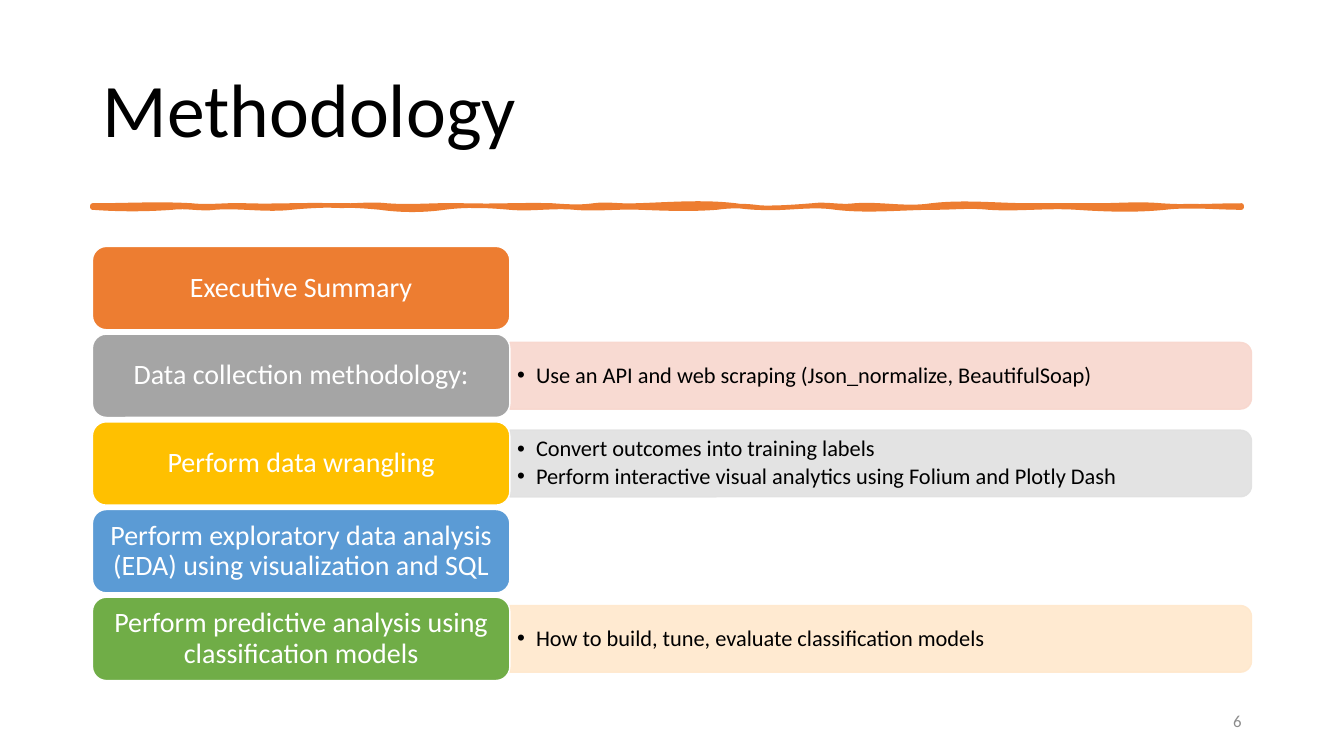
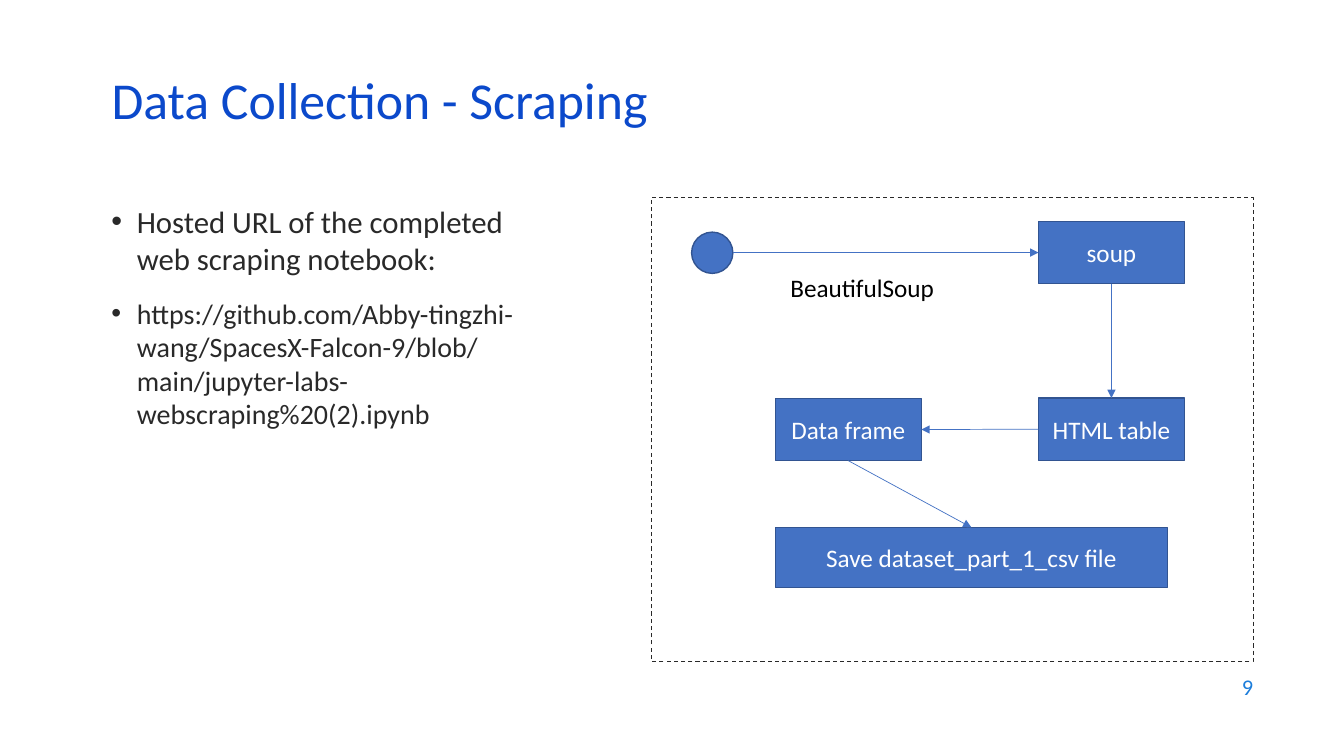
import lxml.etree
import pptx
import pptx.dml.color
import pptx.enum.dml
import pptx.enum.shapes
import pptx.enum.text
import pptx.oxml.ns
import pptx.util

Cm = pptx.util.Cm
Pt = pptx.util.Pt
qn = pptx.oxml.ns.qn
SHAPE = pptx.enum.shapes.MSO_SHAPE
ALIGN = pptx.enum.text.PP_ALIGN
ANCHOR = pptx.enum.text.MSO_ANCHOR

FONT = "Calibri"
COLORS = {
    "black": "000000", "white": "FFFFFF", "ink": "292929", "gray": "8C8C8C",
    "orange": "ED7D31", "silver": "A5A5A5", "gold": "FFC000", "sky": "5B9BD5", "green": "70AD47",
    "pale_red": "F8D7CE", "pale_gray": "E1E1E1", "pale_orange": "FFE8CC",
    "title_blue": "0B49CB", "number_blue": "1C7DDB", "node": "4472C4", "node_edge": "325491",
}

STEPS = [
    ("Executive Summary", "orange", None, []),
    ("Data collection methodology:", "silver", "pale_red",
     ["Use an API and web scraping (Json_normalize, BeautifulSoap)"]),
    ("Perform data wrangling", "gold", "pale_gray",
     ["Convert outcomes into training labels",
      "Perform interactive visual analytics using Folium and Plotly Dash"]),
    ("Perform exploratory data analysis (EDA) using visualization and SQL", "sky", None, []),
    ("Perform predictive analysis using classification models", "green", "pale_orange",
     ["How to build, tune, evaluate classification models"]),
]
STEP_LEFT, STEP_TOP, STEP_PITCH = 2.33, 6.21, 2.21
STEP_WIDTH, STEP_HEIGHT = 10.52, 2.1
DETAIL_WIDTH, DETAIL_HEIGHT = 18.69, 1.68

RULE_LEFT, RULE_RIGHT, RULE_TOP, RULE_BOTTOM = 2.33, 31.29, 5.18, 5.23
RULE_UNIT = 0.025
TOP_WAVES = [
    (4.83, 0, -2), (6.2, 2, -1), (8.41, 1, -1), (9.75, 1, -2), (11.68, 2, -1), (13.92, 1, -1),
    (14.96, 1, 2), (16.03, -2, 1), (18.54, -1, -4), (20.47, 4, 2), (21.54, -2, 2),
    (23.47, -2, 4), (25.98, -4, 0), (27.61, 0, 0), (29.26, 0, -2), (RULE_RIGHT, 2, 0),
]
BOTTOM_WAVES = [
    (29.36, 0, -3), (27.13, 3, 2), (24.92, -2, 2), (23.57, -2, 0), (21.06, 0, 4), (19.13, -4, 2),
    (18.06, -2, -2), (16.13, 2, 1), (14.48, -1, 2), (12.85, -2, 2), (11.2, -2, -3),
    (9.58, 3, 3), (7.34, -3, -3), (5.41, 3, -2), (4.34, 2, -2), (RULE_LEFT, 2, 2),
]

NOTEBOOK_LINES = [
    ("Hosted URL of the completed web scraping notebook:", 22),
    ("https://github.com/Abby-tingzhi-wang/SpacesX-Falcon-9/blob/main/"
     "jupyter-labs-webscraping%20(2).ipynb", 20),
]
NODES = {
    "soup": (26.17, 5.58, 3.68, 1.57),
    "HTML table": (26.17, 10.03, 3.68, 1.57),
    "Data frame": (19.54, 10.04, 3.68, 1.57),
    "Save dataset_part_1_csv file": (19.54, 13.29, 9.88, 1.52),
}
ARROWS = [
    ("soup", 2, "HTML table", 0),
    ("HTML table", 1, "Data frame", 3),
    ("Data frame", 2, "Save dataset_part_1_csv file", 0),
]


def rgb(color):
    return pptx.dml.color.RGBColor.from_string(COLORS[color])


def write(box, lines, size, color, align=None, anchor=ANCHOR.MIDDLE, spacing=None, insets=None):
    frame = box.text_frame
    frame.word_wrap = True
    frame.vertical_anchor = anchor
    if insets:
        frame.margin_left = frame.margin_right = Cm(insets[0])
        frame.margin_top = frame.margin_bottom = Cm(insets[1])
    frame.text = "\n".join(lines)
    for para in frame.paragraphs:
        para.alignment = align
        para.line_spacing = spacing
        for span in para.runs:
            span.font.name = FONT
            span.font.size = Pt(size)
            span.font.color.rgb = rgb(color)
    return frame.paragraphs


def add_text(page, place, *args, **options):
    box = page.shapes.add_textbox(*map(Cm, place))
    return write(box, *args, **options)


def add_bullet(para, indent):
    properties = para._p.get_or_add_pPr()
    properties.set("marL", str(Cm(indent)))
    properties.set("indent", str(-Cm(indent)))
    lxml.etree.SubElement(properties, qn("a:buFont")).set("typeface", "Arial")
    lxml.etree.SubElement(properties, qn("a:buChar")).set("char", "•")


def paint(shape, fill, line, width):
    shape.shadow.inherit = False
    if fill:
        shape.fill.solid()
        shape.fill.fore_color.rgb = rgb(fill)
    else:
        shape.fill.background()
    shape.line.color.rgb = rgb(line)
    shape.line.width = Pt(width)
    return shape


def add_box(page, kind, place, fill, line, width=1):
    return paint(page.shapes.add_shape(kind, *map(Cm, place)), fill, line, width)


def add_arrow(page, start, end):
    arrow = page.shapes.add_connector(
        pptx.enum.shapes.MSO_CONNECTOR.STRAIGHT, *map(Cm, start + end))
    arrow.line.color.rgb = rgb("node")
    arrow.line.width = Pt(0.5)
    properties = arrow.element.spPr
    lxml.etree.SubElement(properties.find(qn("a:ln")), qn("a:tailEnd")).set("type", "triangle")
    lxml.etree.SubElement(properties, qn("a:effectLst"))
    return arrow


def add_page(deck, title, place, size, color, spacing):
    page = deck.slides.add_slide(deck.slide_layouts[5])
    box = page.shapes.title
    box.left, box.top, box.width, box.height = map(Cm, place)
    write(box, [title], size, color, ALIGN.LEFT, spacing=spacing)
    return page


def add_number(page, number, place, size, color):
    add_text(page, place, [number], size, color, ALIGN.RIGHT)


def bend(segment, start, first, second):
    end = segment[0]
    left, right = int(start.get("x")), int(end.get("x"))
    segment.tag = qn("a:cubicBezTo")
    for index, rise in enumerate((first, second)):
        control = lxml.etree.Element(qn("a:pt"))
        control.set("x", str(left + (right - left) * (index + 1) // 3))
        control.set("y", str(int(end.get("y")) + Cm(RULE_UNIT * rise)))
        segment.insert(index, control)
    return end


def add_rule(page):
    waves = TOP_WAVES + [(RULE_RIGHT, 0, 0)] + BOTTOM_WAVES
    heights = [RULE_TOP] * len(TOP_WAVES) + [RULE_BOTTOM] * (len(BOTTOM_WAVES) + 1)
    knots = [(Cm(wave[0]), Cm(height)) for wave, height in zip(waves, heights)]
    outline = page.shapes.build_freeform(Cm(RULE_LEFT), Cm(RULE_TOP))
    outline.add_line_segments(knots, close=True)
    rule = paint(outline.convert_to_shape(), "orange", "orange", 3.25)
    segments = list(rule.element.spPr.iter(qn("a:lnTo")))
    point = next(rule.element.spPr.iter(qn("a:moveTo")))[0]
    for segment, (right, first, second) in zip(segments, waves):
        if first or second:
            point = bend(segment, point, first, second)
        else:
            point = segment[0]


def add_detail(page, middle, color, lines):
    left = STEP_LEFT + STEP_WIDTH
    center = left + DETAIL_WIDTH / 2
    panel = add_box(page, SHAPE.ROUND_2_SAME_RECTANGLE,
                    (center - DETAIL_HEIGHT / 2, middle - DETAIL_WIDTH / 2,
                     DETAIL_HEIGHT, DETAIL_WIDTH), color, color)
    panel.rotation = 90
    for tint in panel.element.spPr.iter(qn("a:srgbClr")):
        lxml.etree.SubElement(tint, qn("a:alpha")).set("val", "90000")
    place = (left, middle - DETAIL_HEIGHT / 2, DETAIL_WIDTH, DETAIL_HEIGHT)
    for para in add_text(page, place, lines, 16, "black", spacing=0.9, insets=(0.18, 0.08)):
        add_bullet(para, 0.48)
        para.space_after = Pt(2.4)


def build_methodology(deck):
    page = add_page(deck, "Methodology", (2.34, 1.02, 29.21, 3.68), 54, "black", 0.9)
    add_rule(page)
    for index, (label, color, tint, details) in enumerate(STEPS):
        top = STEP_TOP + index * STEP_PITCH
        if details:
            add_detail(page, top + STEP_HEIGHT / 2, tint, details)
        step = add_box(page, SHAPE.ROUNDED_RECTANGLE,
                       (STEP_LEFT, top, STEP_WIDTH, STEP_HEIGHT), color, "white")
        write(step, [label], 20, "white", ALIGN.CENTER, spacing=0.9, insets=(0.3, 0.2))
    add_number(page, "6", (23.92, 17.65, 7.62, 1.02), 12, "gray")


def build_scraping(deck):
    page = add_page(deck, "Data Collection - Scraping", (2.56, 1.93, 29.21, 1.52),
                    37, "title_blue", 0.7)
    paras = add_text(page, (2.56, 4.98, 10.92, 10.59), [text for text, size in NOTEBOOK_LINES],
                     22, "ink", anchor=ANCHOR.TOP)
    for para, (text, size) in zip(paras, NOTEBOOK_LINES):
        add_bullet(para, 0.64)
        para.runs[0].font.size = Pt(size)
    paras[1].space_before = Pt(14)

    border = add_box(page, SHAPE.RECTANGLE, (16.41, 4.98, 15.18, 11.68), None, "ink", 0.75)
    border.line.dash_style = pptx.enum.dml.MSO_LINE.DASH
    add_box(page, SHAPE.OVAL, (17.43, 5.85, 1.04, 1.04), "node", "node_edge")
    boxes = {}
    for label, place in NODES.items():
        boxes[label] = add_box(page, SHAPE.RECTANGLE, place, "node", "node_edge")
        write(boxes[label], [label], 18, "white", ALIGN.CENTER)

    left, top, width, height = NODES["soup"]
    middle = top + height / 2
    add_arrow(page, (18.47, middle), (left, middle)).end_connect(boxes["soup"], 1)
    for source, source_side, target, target_side in ARROWS:
        arrow = add_arrow(page, (0, 0), (1, 1))
        arrow.begin_connect(boxes[source], source_side)
        arrow.end_connect(boxes[target], target_side)
    add_text(page, (19.67, 6.73, 5.28, 1.02), ["BeautifulSoup"], 18, "black", anchor=ANCHOR.TOP)
    add_number(page, "9", (24.21, 16.74, 7.62, 1.12), 16, "number_blue")


def main():
    deck = pptx.Presentation()
    deck.slide_width, deck.slide_height = Cm(33.87), Cm(19.05)
    build_methodology(deck)
    build_scraping(deck)
    deck.save("out.pptx")


if __name__ == "__main__":
    main()
